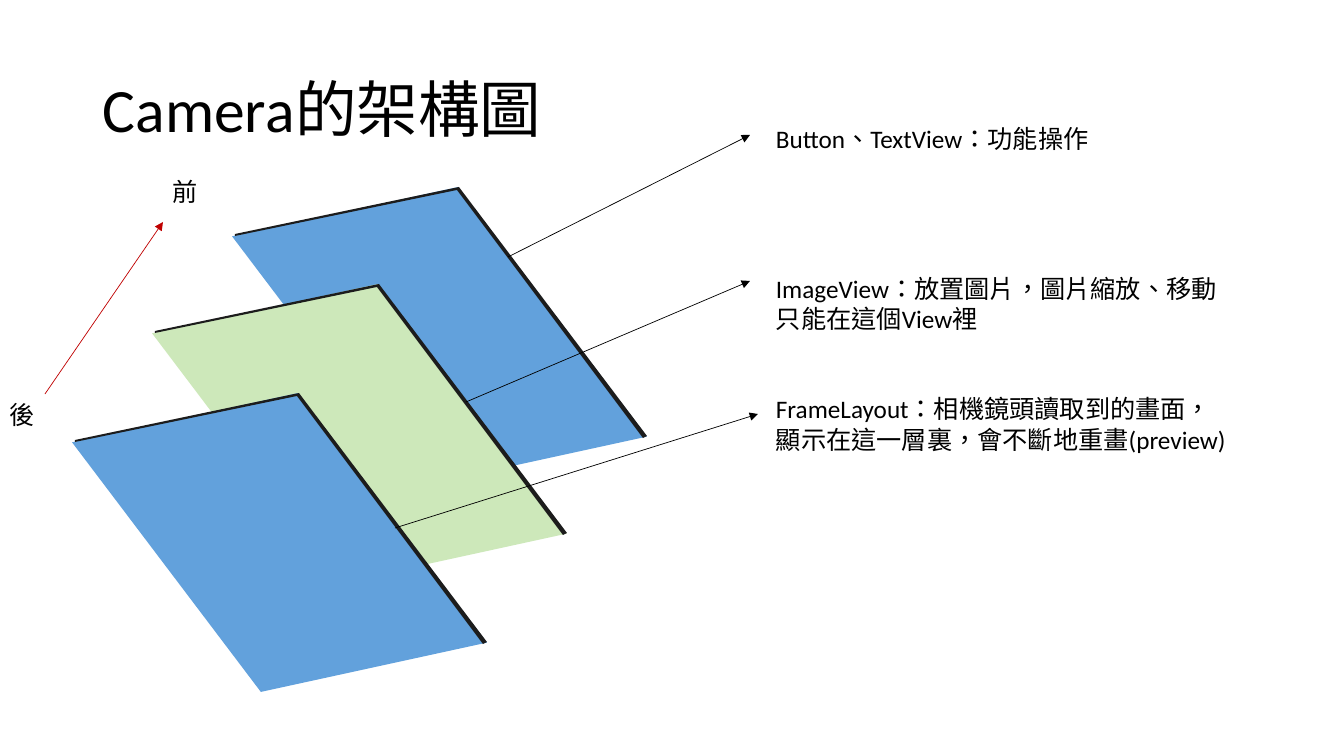
import pptx
import pptx.dml.color
import pptx.enum.shapes
import pptx.enum.text
import pptx.oxml
import pptx.oxml.ns
import pptx.util
from dataclasses import dataclass

SCALE = 914400 / 100.8


@dataclass(frozen=True)
class Theme:
    font: str = "Calibri"
    lang: str = "zh-TW"
    ink: str = "000000"
    edge: str = "1C1C1C"
    blue: str = "62A1DC"
    green: str = "CDE8BA"
    red: str = "C00000"
    title: int = 44
    body: int = 18
    line: float = 0.5


THEME = Theme()


def px(n):
    return pptx.util.Emu(round(n * SCALE))


def rgb(code):
    return pptx.dml.color.RGBColor.from_string(code)


def add_text(slide, box, lines, size=THEME.body, gaps=(0,), wrap=True,
             anchor="TOP", lead=1.0):
    """Write one paragraph per line; gaps are the px above each."""
    frame = slide.shapes.add_textbox(*map(px, box)).text_frame
    frame.word_wrap = wrap
    frame.vertical_anchor = pptx.enum.text.MSO_ANCHOR[anchor]
    for i, (line, gap) in enumerate(zip(lines, gaps)):
        para = frame.paragraphs[0] if i == 0 else frame.add_paragraph()
        para.space_before = px(gap)
        para.line_spacing = lead
        run = para.add_run()
        run.text = line
        run.font.name = THEME.font
        run.font.size = pptx.util.Pt(size)
        run.font.color.rgb = rgb(THEME.ink)
        run._r.get_or_add_rPr().set("lang", THEME.lang)


def add_arrow(slide, start, end, color=THEME.ink):
    kind = pptx.enum.shapes.MSO_CONNECTOR.STRAIGHT
    arrow = slide.shapes.add_connector(kind, *map(px, (*start, *end)))
    arrow.line.color.rgb = rgb(color)
    arrow.line.width = pptx.util.Pt(THEME.line)
    tip = pptx.oxml.parse_xml(
        f'<a:tailEnd {pptx.oxml.ns.nsdecls("a")} type="triangle"/>')
    arrow.line._get_or_add_ln().append(tip)
    none = pptx.oxml.parse_xml(f'<a:effectLst {pptx.oxml.ns.nsdecls("a")}/>')
    arrow._element.spPr.append(none)


def paint(shape, color):
    shape.shadow.inherit = False
    shape.fill.solid()
    shape.fill.fore_color.rgb = rgb(color)
    shape.line.fill.background()


def add_plane(slide, box, color):
    """Draw a tilted sheet with a dark rim on its top and right sides."""
    x, y, w, h = box
    long, tall, lean = 410, 210, 97
    kind = pptx.enum.shapes.MSO_SHAPE.PARALLELOGRAM
    sheet = slide.shapes.add_shape(
        kind, px(x + (w - long) / 2), px(y + (h - tall) / 2),
        px(long), px(tall))
    sheet.adjustments[0] = lean / tall
    sheet.rotation = 52.9
    paint(sheet, color)

    top, left, low = 227, 49, 250
    rim = [(x + 3, y + left - 2), (x + top, y), (x + w, y + low - 1),
           (x + w - 4, y + low + 1), (x + top - 2, y + 3),
           (x + 3, y + left)]
    pen = slide.shapes.build_freeform(*rim[0], scale=SCALE)
    pen.add_line_segments(rim[1:], close=True)
    paint(pen.convert_to_shape(), THEME.edge)


def add_stack(slide, box):
    x, y, w, h = box
    wide, high, step = 415, 299, 80
    drops = (0, 97, 206)
    colors = (THEME.blue, THEME.green, THEME.blue)
    for i, (drop, color) in enumerate(zip(drops, colors)):
        add_plane(slide, (x + w - wide - i * step, y + drop, wide, high),
                  color)


def add_notes(slide, box):
    x, y, w, h = box
    rays = (((-258, 139), (-16, 17)),
            ((-300, 284), (-16, 163)),
            ((-371, 410), (-8, 296)))
    for start, end in rays:
        add_arrow(slide, (x + start[0], y + start[1]),
                  (x + end[0], y + end[1]))
    lines = ("Button、TextView：功能操作",
             "ImageView：放置圖片，圖片縮放、移動只能在這個View裡",
             "FrameLayout：相機鏡頭讀取到的畫面，顯示在這一層裏，會不斷地重畫(preview)")
    add_text(slide, box, lines, gaps=(0, 120, 60))


def add_depth(slide, box):
    """Point from the back label up to the front label."""
    x, y, w, h = box
    side, tall = 45, 40
    add_arrow(slide, (x + side, y + h - tall), (x + w - side, y + 51),
              THEME.red)
    add_text(slide, (x + w - side, y, side, tall), ["前"], wrap=False)
    add_text(slide, (x, y + h - tall, side, tall), ["後"], wrap=False)


def main():
    deck = pptx.Presentation()
    deck.slide_width, deck.slide_height = px(1344), px(756)
    slide = deck.slides.add_slide(deck.slide_layouts[6])
    add_text(slide, (93, 40, 1159, 146), ["Camera的架構圖"],
             size=THEME.title, anchor="MIDDLE", lead=0.9)
    add_stack(slide, (72, 187, 575, 505))
    add_notes(slide, (766, 118, 470, 377))
    add_depth(slide, (0, 171, 208, 263))
    deck.save("out.pptx")


if __name__ == "__main__":
    main()
